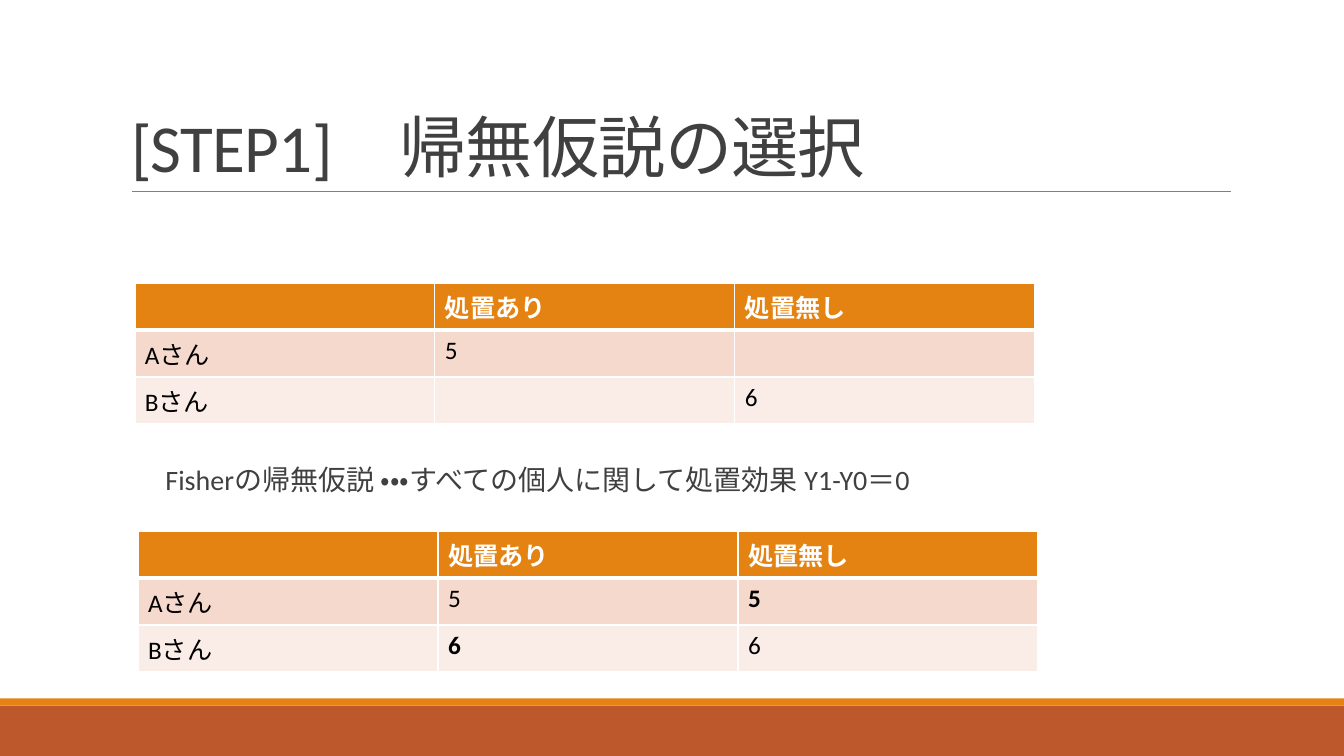
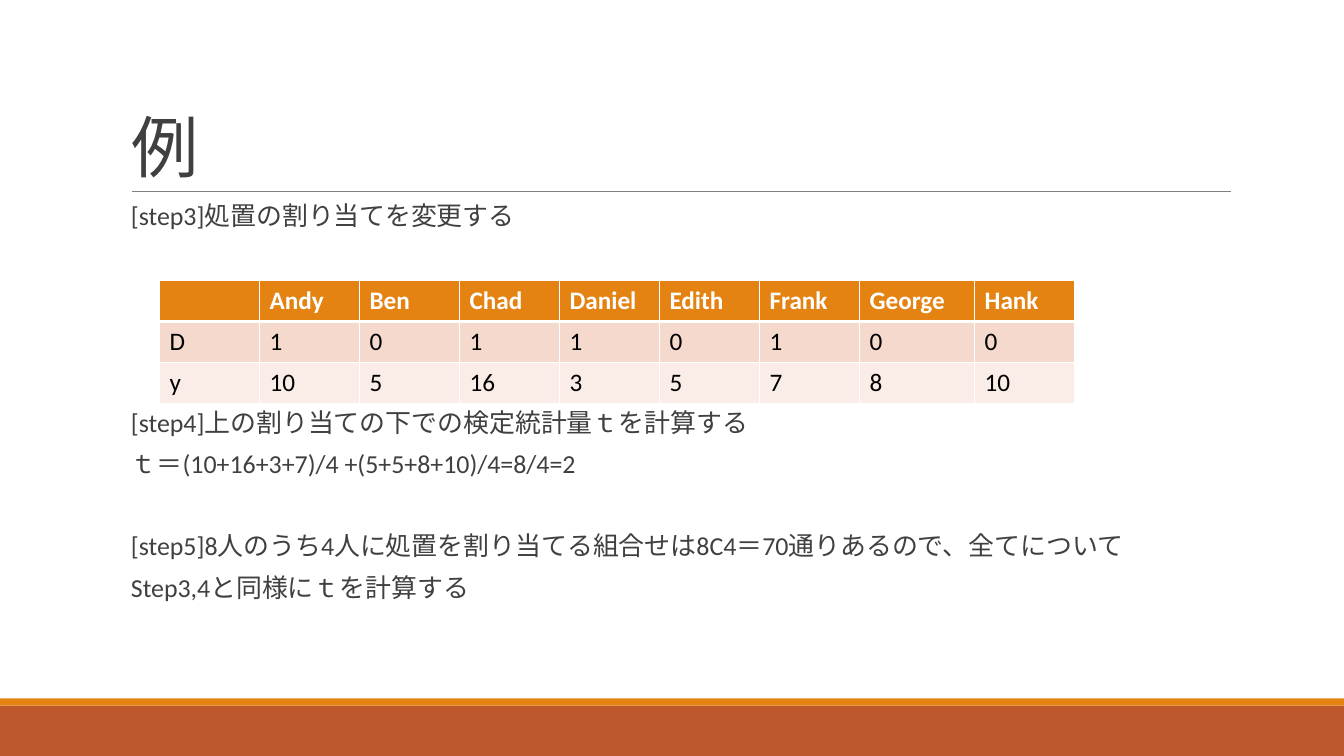
import pptx
import pptx.dml.color
import pptx.enum.lang
import pptx.enum.shapes
import pptx.enum.text
import pptx.oxml
import pptx.oxml.ns
import pptx.util

Cm = pptx.util.Cm
Pt = pptx.util.Pt

FONT = "Calibri"
WHITE, BLACK, DARK, GREY = "FFFFFF", "000000", "404040", "808080"
ORANGE, RUST = "E48312", "BD582C"
ROW_FILLS = ["F5D9CC", "FAEDE7"]
SLIDE_WIDTH, SLIDE_HEIGHT = 33.87, 19.05
TITLE_BOX = (3.05, 0.79, 27.94, 4.04)
TITLE_ONLY = 5


def color(value):
    return pptx.dml.color.RGBColor.from_string(value)


def write(paragraph, text, size=18, fill=DARK, bold=False, line_spacing=None,
          before=0, after=0, tracking=None):
    """Fill one paragraph with formatted text."""
    paragraph.alignment = pptx.enum.text.PP_ALIGN.LEFT
    paragraph.line_spacing = line_spacing
    paragraph.space_before, paragraph.space_after = Pt(before), Pt(after)
    run = paragraph.add_run()
    run.text = text
    font = run.font
    font.name, font.size, font.bold = FONT, Pt(size), bold
    font.color.rgb = color(fill)
    font.language_id = pptx.enum.lang.MSO_LANGUAGE_ID.JAPANESE
    if tracking is not None:
        run.font._element.set("spc", str(int(tracking * 100)))


# Shared background: footer bands and the rule under the title
def add_band(slide, top, height, fill):
    band = slide.shapes.add_shape(
        pptx.enum.shapes.MSO_SHAPE.RECTANGLE,
        Cm(0), Cm(top), Cm(SLIDE_WIDTH), Cm(height))
    band.shadow.inherit = False
    band.fill.solid()
    band.fill.fore_color.rgb = color(fill)
    band.line.fill.background()
    return band


def add_rule(slide, left, right, top):
    rule = slide.shapes.add_connector(
        pptx.enum.shapes.MSO_CONNECTOR.STRAIGHT,
        Cm(left), Cm(top), Cm(right), Cm(top))
    rule.line.color.rgb = color(GREY)
    rule.line.width = Pt(0.5)
    rule._element.spPr.append(pptx.oxml.parse_xml(
        f"<a:effectLst {pptx.oxml.ns.nsdecls('a')}/>"))
    return rule


def decorate_layout(slide):
    """Draw the shared parts, then move them to the layout of the slide."""
    parts = [
        add_band(slide, 17.78, 1.27, RUST),
        add_band(slide, 17.6, 0.18, ORANGE),
        add_rule(slide, 3.33, 31.01, 4.83),
    ]
    layout_tree = slide.slide_layout.element.cSld.spTree
    for index, part in enumerate(parts):
        part.element.xpath(".//p:cNvPr")[0].set("id", str(100 + index))
        layout_tree.insert(2 + index, part.element)


def add_titled_slide(presentation, title_text):
    slide = presentation.slides.add_slide(presentation.slide_layouts[TITLE_ONLY])
    title = slide.shapes.title
    title.left, title.top, title.width, title.height = map(Cm, TITLE_BOX)
    frame = title.text_frame
    frame.word_wrap = True
    frame.auto_size = pptx.enum.text.MSO_AUTO_SIZE.NONE
    frame.vertical_anchor = pptx.enum.text.MSO_ANCHOR.BOTTOM
    write(frame.paragraphs[0], title_text, size=48, line_spacing=0.85, tracking=-0.5)
    return slide


def add_body(slide, left, top, width, height, lines, **text_format):
    """Each line is a pair: text and space before it in points."""
    frame = slide.shapes.add_textbox(
        Cm(left), Cm(top), Cm(width), Cm(height)).text_frame
    frame.word_wrap = True
    frame.margin_left = frame.margin_right = 0
    for index, (text, before) in enumerate(lines):
        paragraph = frame.add_paragraph() if index else frame.paragraphs[0]
        write(paragraph, text, before=before, after=2, **text_format)


# Tables
def set_borders(cell, **widths):
    properties = cell._tc.get_or_add_tcPr()
    for side in "LRTB":
        width = Pt(widths.get(side, 1))
        properties.append(pptx.oxml.parse_xml(
            f'<a:ln{side} {pptx.oxml.ns.nsdecls("a")} w="{width}"><a:solidFill>'
            f'<a:srgbClr val="{WHITE}"/></a:solidFill></a:ln{side}>'))


def add_data_table(slide, left, top, column_widths, row_height, rows, bold_cells=()):
    """Rows hold texts; bold_cells lists (row, column) pairs below the header."""
    table = slide.shapes.add_table(
        len(rows), len(column_widths), Cm(left), Cm(top),
        Cm(sum(column_widths)), Cm(row_height * len(rows))).table
    for column, width in zip(table.columns, column_widths):
        column.width = Cm(width)
    for row_index, row in enumerate(rows):
        table.rows[row_index].height = Cm(row_height)
        header = row_index == 0
        for column_index, text in enumerate(row):
            cell = table.cell(row_index, column_index)
            set_borders(cell, B=3 if header else 1, T=3 if row_index == 1 else 1)
            cell.fill.solid()
            cell.fill.fore_color.rgb = color(
                ORANGE if header else ROW_FILLS[(row_index - 1) % 2])
            if text:
                write(cell.text_frame.paragraphs[0], text,
                      fill=WHITE if header else BLACK,
                      bold=header or (row_index, column_index) in bold_cells)


# Slides
def build_hypothesis_slide(presentation):
    slide = add_titled_slide(presentation, "[STEP1]　帰無仮説の選択")
    header = ["", "処置あり", "処置無し"]
    widths = [7.56] * 3
    add_data_table(slide, 3.4, 7.14, widths, 1.18,
                   [header, ["Aさん", "5", ""], ["Bさん", "", "6"]])
    add_body(slide, 4.17, 11.63, 24.8, 1.2,
             [("Fisherの帰無仮説 ・・・すべての個人に関して処置効果 Y1-Y0＝0", 0)],
             size=20, line_spacing=0.9)
    add_data_table(slide, 3.48, 13.39, widths, 1.18,
                   [header, ["Aさん", "5", "5"], ["Bさん", "6", "6"]],
                   bold_cells=[(1, 2), (2, 1)])
    return slide


def build_example_slide(presentation):
    slide = add_titled_slide(presentation, "例")
    add_body(slide, 3.3, 5.13, 27.69, 11.18, [
        ("[step3]処置の割り当てを変更する", 0),
        ("[step4]上の割り当ての下での検定統計量ｔを計算する", 130),
        ("ｔ＝(10+16+3+7)/4 +(5+5+8+10)/4=8/4=2", 12),
        ("[step5]8人のうち4人に処置を割り当てる組合せは8C4＝70通りあるので、全てについて", 41),
        ("Step3,4と同様にｔを計算する", 12),
    ], size=18.5, line_spacing=0.7)
    add_data_table(slide, 4.02, 7.07, [2.52] * 7 + [2.9, 2.52], 1.03, [
        ["", "Andy", "Ben", "Chad", "Daniel", "Edith", "Frank", "George", "Hank"],
        ["D", "1", "0", "1", "1", "0", "1", "0", "0"],
        ["y", "10", "5", "16", "3", "5", "7", "8", "10"],
    ])


def main():
    presentation = pptx.Presentation()
    presentation.slide_width = Cm(SLIDE_WIDTH)
    presentation.slide_height = Cm(SLIDE_HEIGHT)
    decorate_layout(build_hypothesis_slide(presentation))
    build_example_slide(presentation)
    presentation.save("out.pptx")


if __name__ == "__main__":
    main()
